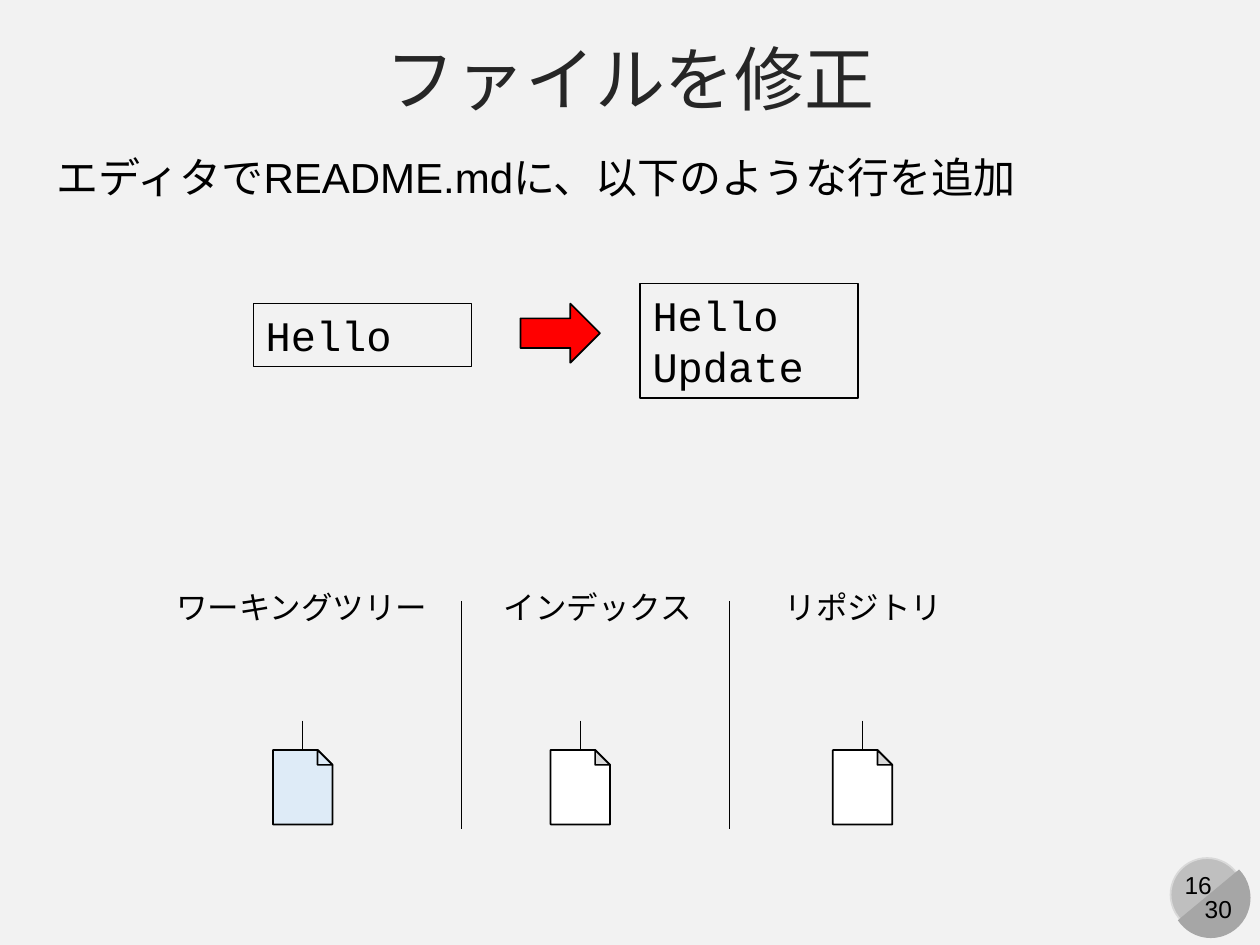
"""Build the slide on editing a file in the working tree."""
from lxml.etree import SubElement
from pptx import Presentation
from pptx.dml.color import RGBColor
from pptx.enum.shapes import MSO_CONNECTOR, MSO_SHAPE
from pptx.enum.text import MSO_ANCHOR, PP_ALIGN
from pptx.oxml.ns import qn
from pptx.util import Pt

TITLE = "ファイルを修正"
INSTRUCTION = "エディタでREADME.mdに、以下のような行を追加"
LISTINGS = [
    (["Hello"], (144.7, 173.5, 124.6, 36)),
    (["Hello", "Update"], (365.8, 162, 124.6, 65.5)),
]
AREAS = [
    ("ワーキングツリー", 93.6, 160, 156, "DEEBF7", "DEEBF7"),
    ("インデックス", 280.8, 124, 314.6, "FFFFFF", "D9D9D9"),
    ("リポジトリ", 441.4, 105, 475.9, "FFFFFF", "D9D9D9"),
]
DIVIDERS = [263.5, 416.9]
PAGE_NUMBERS = [("16", (668.9, 493.9, 31.7, 24.5)), ("30", (676.8, 507.6, 38.9, 24.5))]

FILE_TOP, FILE_WIDTH, FILE_HEIGHT, FOLD = 428.6, 34, 42.5, 8.5
STEM_TOP = 411.8
BLACK = "000000"


def color(value):
    return RGBColor.from_string(value)


def points(values):
    return [Pt(value) for value in values]


def apply(target, formats):
    for name, value in formats.items():
        setattr(target, name, value)


def outline(shape, width, value=BLACK):
    shape.line.color.rgb = color(value)
    shape.line.width = Pt(width)


def add_figure(shapes, kind, place, fill, line=BLACK):
    shape = shapes.add_shape(kind, *points(place))
    shape.shadow.inherit = False
    shape.fill.solid()
    shape.fill.fore_color.rgb = color(fill)
    if line:
        outline(shape, 1, line)
    else:
        shape.line.fill.background()
    return shape


def write(box, lines, size, font="Arial", fill=BLACK, align=PP_ALIGN.LEFT, wrap=True):
    frame = box.text_frame
    frame.word_wrap = wrap
    frame.text = "\n".join(lines)
    for para in frame.paragraphs:
        para.alignment = align
        apply(para.font, {"size": Pt(size), "name": font})
        para.font.color.rgb = color(fill)


def add_text(page, lines, place, size, **formats):
    box = page.shapes.add_textbox(*points(place))
    write(box, lines, size, **formats)
    return box


def add_line(page, x, top, bottom):
    line = page.shapes.add_connector(MSO_CONNECTOR.STRAIGHT, *points((x, top, x, bottom)))
    outline(line, 0.5)
    SubElement(line._element.spPr, qn("a:effectLst"))
    return line


def add_file(page, left, fill, fold_fill):
    group = page.shapes.add_group_shape()
    sheet = add_figure(group.shapes, MSO_SHAPE.SNIP_1_RECTANGLE,
                       (left, FILE_TOP, FILE_WIDTH, FILE_HEIGHT), fill)
    sheet.adjustments[0] = FOLD / FILE_WIDTH
    add_figure(group.shapes, MSO_SHAPE.RIGHT_TRIANGLE,
               (left + FILE_WIDTH - FOLD, FILE_TOP, FOLD, FOLD), fold_fill)
    stem = add_line(page, left + FILE_WIDTH / 2, STEM_TOP, FILE_TOP)
    stem.end_connect(sheet, 0)


def add_page_badge(page):
    add_figure(page.shapes, MSO_SHAPE.OVAL, (668.9, 490.3, 41.8, 41.8), "BFBFBF", "D9D9D9")
    chord = add_figure(page.shapes, MSO_SHAPE.CHORD, (668.9, 490.3, 46, 45.4), "A6A6A6", None)
    chord.rotation = 270
    chord.adjustments[0], chord.adjustments[1] = 27, 141.42
    for number, place in PAGE_NUMBERS:
        add_text(page, [number], place, 14, align=PP_ALIGN.CENTER)


def main():
    deck = Presentation()
    apply(deck, {"slide_width": Pt(720), "slide_height": Pt(540)})
    page = deck.slides.add_slide(deck.slide_layouts[5])
    page.background.fill.solid()
    page.background.fill.fore_color.rgb = color("F2F2F2")
    add_page_badge(page)

    title = page.shapes.title
    apply(title, dict(zip(("left", "top", "width", "height"), points((0, 15, 720, 59)))))
    write(title, [TITLE], 40, fill="262626", align=PP_ALIGN.CENTER)
    title.text_frame.vertical_anchor = MSO_ANCHOR.MIDDLE

    add_text(page, [INSTRUCTION], (25.2, 82.8, 571, 36), 24)
    for lines, place in LISTINGS:
        outline(add_text(page, lines, place, 24, font="Courier New"), 0.75)
    add_figure(page.shapes, MSO_SHAPE.RIGHT_ARROW, (297.4, 173.5, 45.4, 33.8), "FF0000")

    for x in DIVIDERS:
        add_line(page, x, 343.4, 473.8)
    for label, left, width, file_left, fill, fold_fill in AREAS:
        add_text(page, [label], (left, 332.6, width, 28.8), 18, wrap=False)
        add_file(page, file_left, fill, fold_fill)
    deck.save("out.pptx")


if __name__ == "__main__":
    main()
